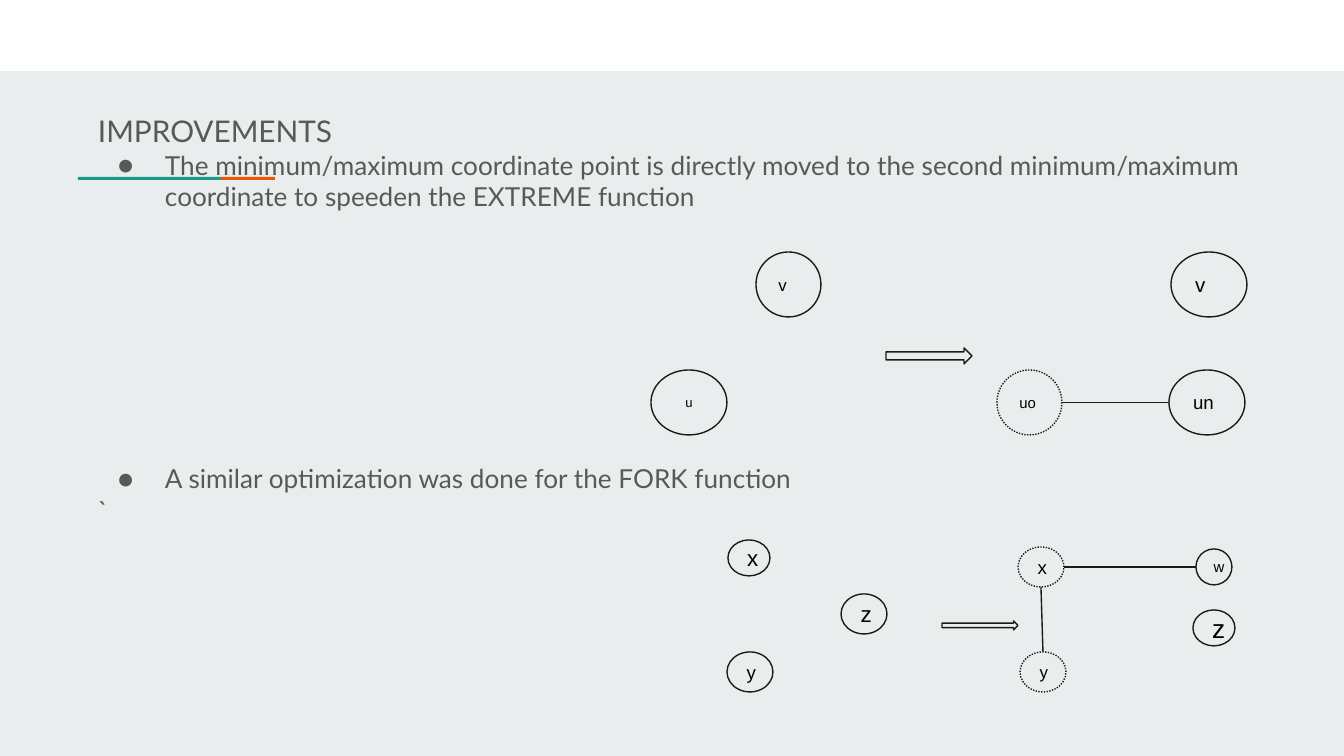
from dataclasses import dataclass

from lxml import etree
from pptx import Presentation
from pptx.dml.color import RGBColor
from pptx.enum.dml import MSO_LINE
from pptx.enum.shapes import MSO_CONNECTOR, MSO_SHAPE
from pptx.enum.text import MSO_ANCHOR, MSO_AUTO_SIZE, PP_ALIGN
from pptx.oxml.ns import qn
from pptx.util import Pt

RECT, ELLIPSE, ARROW = MSO_SHAPE.RECTANGLE, MSO_SHAPE.OVAL, MSO_SHAPE.RIGHT_ARROW
STRAIGHT, DOTTED = MSO_CONNECTOR.STRAIGHT, MSO_LINE.ROUND_DOT
LEFT, CENTER = PP_ALIGN.LEFT, PP_ALIGN.CENTER
TOP, MIDDLE = MSO_ANCHOR.TOP, MSO_ANCHOR.MIDDLE

EMU_PER_PX = 914400 / 134.4
INSET = 13


@dataclass(frozen=True)
class Theme:
    background: str = "E9EDEE"
    band: str = "FFFFFF"
    teal: str = "1A9988"
    orange: str = "EB5600"
    text: str = "595959"
    label: str = "000000"
    outline: str = "1A1A1A"
    font: str = "Lato"
    label_font: str = "Arial"
    title_size: int = 16
    body_size: int = 14
    line_width: float = 0.75


THEME = Theme()
LINE_HEIGHT = 1.2 * THEME.body_size  # points
DIAGRAM_GAP = Pt(8 * LINE_HEIGHT)

BODY = [  # text, bulleted, space before
    ("The minimum/maximum coordinate point is directly moved to the second "
     "minimum/maximum coordinate to speeden the EXTREME function", True, 0),
    ("A similar optimization was done for the FORK function", True, DIAGRAM_GAP),
    ("`", False, 0),
]

# Nodes: key, label, box within the diagram, type size, dotted, alignment
EXTREME = {
    "nodes": [
        ("u", "u", (0, 118, 76, 65), 7, False, CENTER),
        ("v", "v", (105, 0, 65, 65), 9, False, LEFT),
        ("old u", "uo", (346, 118, 65, 65), 8, True, LEFT),
        ("kept v", "v", (520, 0, 76, 65), 11, False, LEFT),
        ("new u", "un", (518, 118, 76, 65), 10, False, LEFT),
    ],
    "edges": [("old u", "right", "new u", "left")],
    "arrow": (235, 96, 86, 16),
}
FORK = {
    "nodes": [
        ("x", "x", (1, 0, 42, 36), 12, False, LEFT),
        ("y", "y", (0, 112, 46, 40), 10, False, LEFT),
        ("z", "z", (114, 54, 46, 40), 12, False, LEFT),
        ("old y", "y", (293, 112, 46, 40), 9, True, LEFT),
        ("old x", "x", (291, 7, 46, 40), 10, True, LEFT),
        ("kept z", "z", (466, 70, 42, 36), 14, False, LEFT),
        ("w", "w", (469, 9, 36, 36), 8, False, CENTER),
    ],
    "edges": [("old y", "top", "old x", "bottom"), ("old x", "right", "w", "left")],
    "arrow": (215, 81, 76, 9),
}


def px(n):
    return round(n * EMU_PER_PX)


def rgb(value):
    return RGBColor.from_string(value)


def style_font(font, name, size, color):
    font.name, font.size, font.bold = name, Pt(size), False
    font.color.rgb = rgb(color)


def add_filled(s, kind, box, fill):
    sp = s.shapes.add_shape(kind, *map(px, box))
    sp.shadow.inherit = False
    sp.fill.solid()
    sp.fill.fore_color.rgb = rgb(fill)
    sp.line.fill.background()
    return sp


def outline(line):
    line.color.rgb = rgb(THEME.outline)
    line.width = Pt(THEME.line_width)


def add_backdrop(s):
    """Colour the slide and put the band and accent rule behind its text."""
    s.background.fill.solid()
    s.background.fill.fore_color.rgb = rgb(THEME.background)
    tree = s.shapes.title._element.getparent()
    for i, (box, fill) in enumerate([((0, 0, 1344, 71), THEME.band),
                                     ((78, 177, 143, 3), THEME.teal),
                                     ((221, 177, 54, 3), THEME.orange)]):
        tree.insert(2 + i, add_filled(s, RECT, box, fill)._element)


def place_text(sp, box):
    sp.left, sp.top, sp.width, sp.height = map(px, box)
    tf = sp.text_frame
    tf.word_wrap, tf.auto_size, tf.vertical_anchor = True, MSO_AUTO_SIZE.NONE, TOP
    tf.margin_left = tf.margin_right = px(INSET)
    tf.margin_top = tf.margin_bottom = 0
    return tf


def fill_title(s, box):
    tf = place_text(s.shapes.title, box)
    tf.text = "IMPROVEMENTS"
    p = tf.paragraphs[0]
    p.alignment = LEFT
    style_font(p.runs[0].font, THEME.font, THEME.title_size, THEME.text)


def set_bullet(p, bulleted):
    pPr = p._p.get_or_add_pPr()
    pPr.set("marL", str(px(67) if bulleted else 0))
    pPr.set("indent", str(px(-47) if bulleted else 0))
    if bulleted:
        color = etree.SubElement(pPr, qn("a:buClr"))
        etree.SubElement(color, qn("a:srgbClr"), val=THEME.text)
        etree.SubElement(pPr, qn("a:buFont"), typeface=THEME.font)
        etree.SubElement(pPr, qn("a:buChar"), char="●")
    else:
        etree.SubElement(pPr, qn("a:buNone"))


def fill_body(s, box):
    tf = place_text(s.placeholders[1], box)
    tf.text = "\n".join(text for text, _, _ in BODY)
    for p, (_, bulleted, gap) in zip(tf.paragraphs, BODY):
        p.alignment, p.space_before = LEFT, gap
        set_bullet(p, bulleted)
        style_font(p.runs[0].font, THEME.font, THEME.body_size, THEME.text)


def add_node(s, box, label, size, dotted, align):
    sp = add_filled(s, ELLIPSE, box, THEME.background)
    outline(sp.line)
    if dotted:
        sp.line.dash_style = DOTTED
    tf = sp.text_frame
    tf.margin_left = tf.margin_right = tf.margin_top = tf.margin_bottom = px(INSET)
    tf.vertical_anchor = MIDDLE
    tf.text = label
    p = tf.paragraphs[0]
    p.alignment = align
    style_font(p.runs[0].font, THEME.label_font, size, THEME.label)


def side_point(box, side):
    x, y, w, h = box
    return {"left": (x, y + h / 2), "right": (x + w, y + h / 2),
            "top": (x + w / 2, y), "bottom": (x + w / 2, y + h)}[side]


def add_edge(s, start, end):
    line = s.shapes.add_connector(STRAIGHT, *map(px, start + end))
    outline(line.line)
    etree.SubElement(line._element.spPr, qn("a:effectLst"))


def add_diagram(s, left, top, diagram):
    """Draw the before and after graphs with the arrow between them."""
    def shifted(box):
        return (left + box[0], top + box[1], *box[2:])

    boxes = {}
    for key, label, box, size, dotted, align in diagram["nodes"]:
        boxes[key] = shifted(box)
        add_node(s, boxes[key], label, size, dotted, align)
    for a, a_side, b, b_side in diagram["edges"]:
        add_edge(s, side_point(boxes[a], a_side), side_point(boxes[b], b_side))
    outline(add_filled(s, ARROW, shifted(diagram["arrow"]), THEME.background).line)


def main():
    prs = Presentation()
    prs.slide_width, prs.slide_height = px(1344), px(756)
    s = prs.slides.add_slide(prs.slide_layouts[1])
    add_backdrop(s)
    fill_title(s, (85, 113, 1253, 36))
    fill_body(s, (85, 149, 1253, 596))
    add_diagram(s, 651, 252, EXTREME)
    add_diagram(s, 727, 540, FORK)
    prs.save("out.pptx")


if __name__ == "__main__":
    main()
